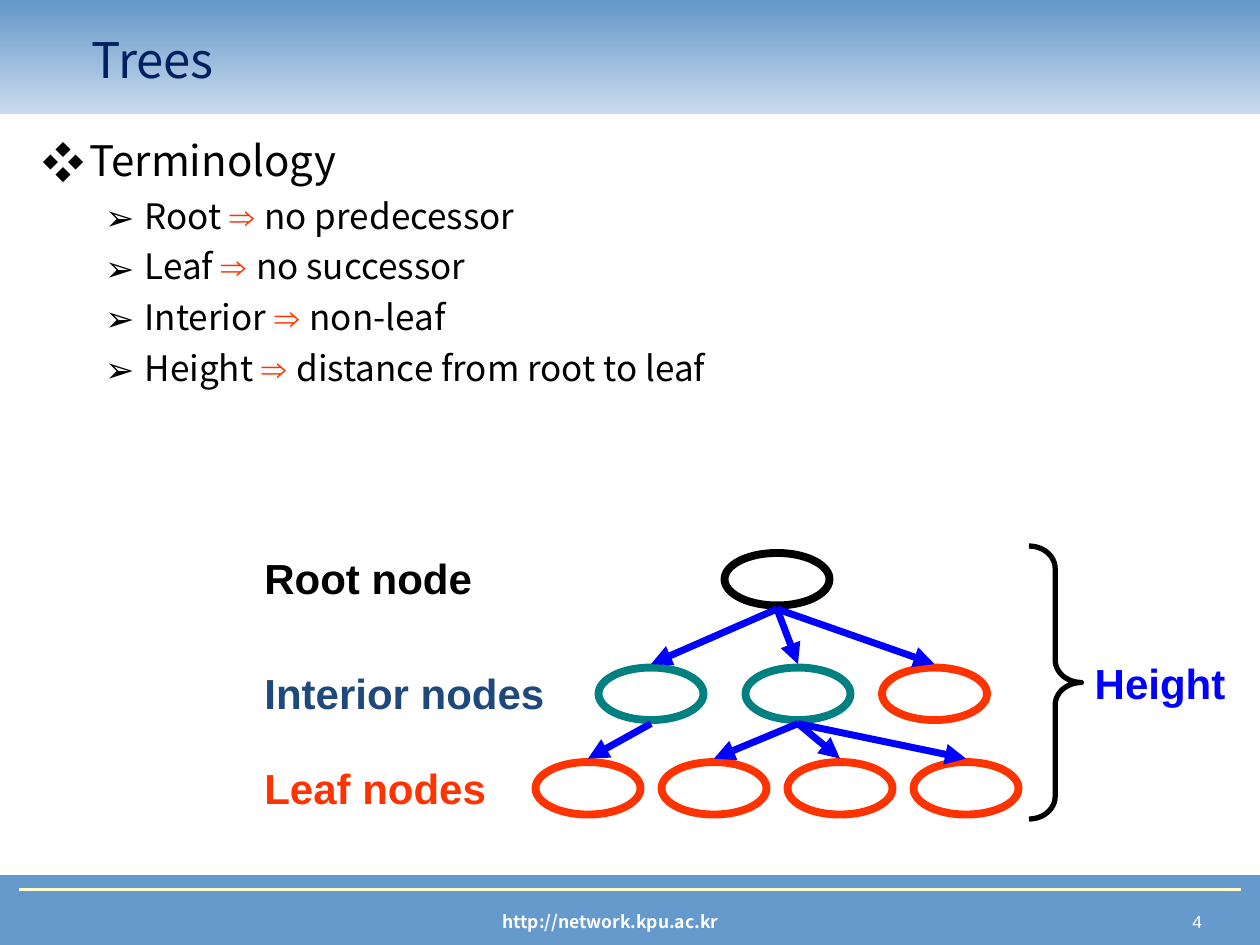
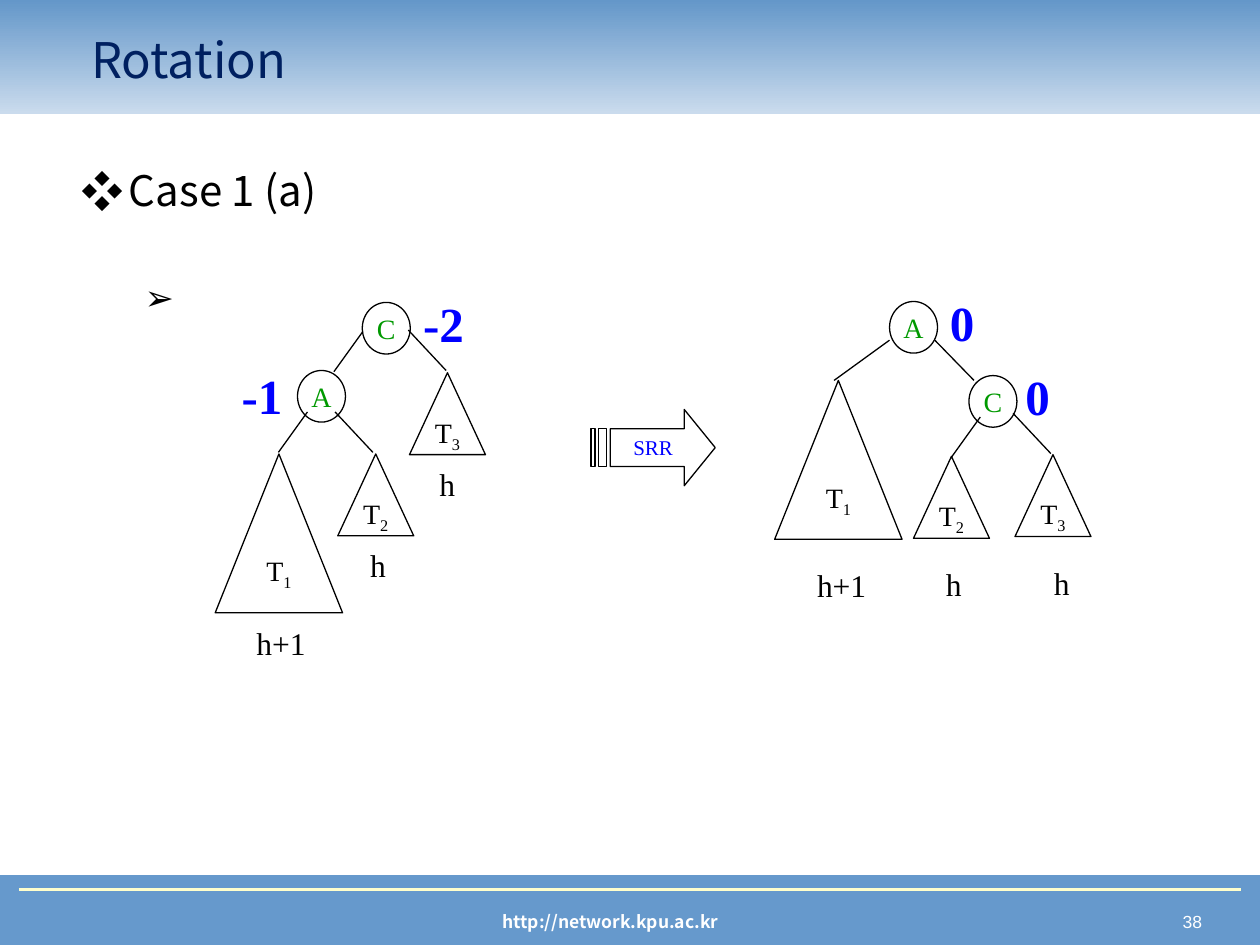
from lxml import etree
from pptx import Presentation
from pptx.dml.color import RGBColor
from pptx.enum.shapes import MSO_CONNECTOR, MSO_SHAPE
from pptx.enum.text import MSO_ANCHOR, MSO_AUTO_SIZE, PP_ALIGN
from pptx.oxml.ns import qn
from pptx.util import Pt

RECT, OVAL = MSO_SHAPE.RECTANGLE, MSO_SHAPE.OVAL
TRIANGLE, BRACE = MSO_SHAPE.ISOSCELES_TRIANGLE, MSO_SHAPE.RIGHT_BRACE
STRAIGHT = MSO_CONNECTOR.STRAIGHT
LEFT, CENTER, RIGHT = PP_ALIGN.LEFT, PP_ALIGN.CENTER, PP_ALIGN.RIGHT
MIDDLE = MSO_ANCHOR.MIDDLE
NO_FIT = MSO_AUTO_SIZE.NONE

BAND = RGBColor(0x66, 0x99, 0xCC)
BAND_TOP = RGBColor(0x64, 0x97, 0xC9)
BAND_PALE = RGBColor(0xCA, 0xDB, 0xED)
CREAM = RGBColor(0xFF, 0xFF, 0xCC)
NAVY = RGBColor(0x00, 0x20, 0x60)
SLATE = RGBColor(0x1F, 0x49, 0x7D)
BLACK = RGBColor(0x00, 0x00, 0x00)
WHITE = RGBColor(0xFF, 0xFF, 0xFF)
TEAL = RGBColor(0x00, 0x80, 0x80)
RED = RGBColor(0xFF, 0x33, 0x00)
BLUE = RGBColor(0x00, 0x00, 0xFF)
GREEN = RGBColor(0x00, 0x99, 0x00)

SANS, ARIAL, TIMES = "Noto Sans CJK KR", "Arial", "Times New Roman"
TITLE = dict(name=SANS, size=Pt(28), color=NAVY)
HEADING = dict(name=SANS, size=Pt(24), color=BLACK)
ITEM = dict(name=SANS, size=Pt(20), color=BLACK)
IMPLIES = dict(name=ARIAL, size=Pt(20), color=RED)
URL = dict(name=SANS, size=Pt(10), color=WHITE, bold=True)
PAGE = dict(name=ARIAL, size=Pt(10), color=WHITE)
LEVEL_LABEL = dict(name=ARIAL, size=Pt(24), bold=True)
BALANCE = dict(name=TIMES, size=Pt(28), color=BLUE, bold=True)
HEIGHT = dict(name=TIMES, size=Pt(18), color=BLACK)
KEY = dict(name=TIMES, size=Pt(16), color=GREEN)
SUBTREE = dict(name=TIMES, size=Pt(16), color=BLACK)
ROTATION = dict(name=TIMES, size=Pt(12), color=BLUE)

NODE_W, NODE_H = 60, 30
KEY_W, KEY_H = 27.4, 29.5
SMALL_TREE, BIG_TREE = (43.4, 46.8), (72.8, 90.8)


def points(*values):
    return [Pt(v) for v in values]


def add_run(p, text, style):
    r = p.add_run()
    r.text = text
    for name, value in style.items():
        if name == "color":
            r.font.color.rgb = value
        else:
            setattr(r.font, name, value)
    return r


def add_label(s, box, text, style, align=LEFT):
    tf = s.shapes.add_textbox(*points(*box)).text_frame
    tf.word_wrap = True
    p = tf.paragraphs[0]
    p.alignment = align
    add_run(p, text, style)


def add_outline(s, kind, box, color=BLACK, width=0.75):
    """Add an unfilled preset shape."""
    sp = s.shapes.add_shape(kind, *points(*box))
    sp.shadow.inherit = False
    sp.fill.background()
    sp.line.color.rgb = color
    sp.line.width = Pt(width)
    return sp


def center_text(sp, text, style):
    tf = sp.text_frame
    tf.word_wrap = False
    tf.vertical_anchor = MIDDLE
    p = tf.paragraphs[0]
    p.alignment = CENTER
    add_run(p, text, style)
    return p


def add_line(s, ends, color=BLACK, width=0.75, arrow=False):
    line = s.shapes.add_connector(STRAIGHT, *points(*ends))
    line.line.color.rgb = color
    line.line.width = Pt(width)
    spPr = line._element.spPr
    if arrow:
        etree.SubElement(spPr.find(qn("a:ln")), qn("a:tailEnd"), type="triangle")
    etree.SubElement(spPr, qn("a:effectLst"))


def add_bullet(p, char, margin, hanging):
    pPr = p._p.get_or_add_pPr()
    pPr.set("marL", str(Pt(margin)))
    pPr.set("indent", str(-Pt(hanging)))
    clr = etree.SubElement(pPr, qn("a:buClr"))
    etree.SubElement(clr, qn("a:srgbClr"), val=str(BLACK))
    etree.SubElement(pPr, qn("a:buFont"), typeface=SANS)
    etree.SubElement(pPr, qn("a:buChar"), char=char)


def add_outline_text(s, box, heading, items, gap=5):
    """Add a bulleted heading; gap is the space above each item under it."""
    tf = s.shapes.add_textbox(*points(*box)).text_frame
    tf.word_wrap = True
    p = tf.paragraphs[0]
    add_bullet(p, "❖", 27, 27)
    p.line_spacing = Pt(29)
    add_run(p, heading, HEADING)
    for runs in items:
        p = tf.add_paragraph()
        p.level = 1
        add_bullet(p, "➢", 58.5, 22.5)
        p.line_spacing = Pt(24)
        p.space_before = Pt(gap)
        for text, style in runs:
            add_run(p, text, style)


def add_framed_slide(prs, title, number):
    """Add a slide with the header band, title and footer."""
    s = prs.slides.add_slide(prs.slide_layouts[5])
    footer = add_outline(s, RECT, (0, 500.4, 720, 39.6), BAND)
    footer.fill.solid()
    footer.fill.fore_color.rgb = BAND
    add_label(s, (534, 517, 160, 19.4), number, PAGE, RIGHT)
    add_label(s, (163, 517, 371.5, 19.4), "http://network.kpu.ac.kr", URL, CENTER)
    add_line(s, (10.8, 508.3, 709.2, 508.3), CREAM, 1.5)

    header = add_outline(s, RECT, (-0.5, 0, 720.5, 65))
    header.line.fill.background()
    header.fill.gradient()
    header.fill.gradient_angle = 90
    for stop, color in zip(header.fill.gradient_stops, (BAND_PALE, BAND_TOP)):
        stop.color.rgb = color

    sp = s.shapes.title
    sp.left, sp.top, sp.width, sp.height = points(45, 11.5, 607.7, 44.6)
    tf = sp.text_frame
    tf.auto_size = NO_FIT
    tf.vertical_anchor = MIDDLE
    p = tf.paragraphs[0]
    p.alignment = LEFT
    add_run(p, title, TITLE)
    sp.element.getparent().append(sp.element)
    return s


def add_level(s, top, nodes):
    """Add one level of tree nodes, given as (centre, colour)."""
    for cx, color in nodes:
        add_outline(s, OVAL, (cx - NODE_W / 2, top, NODE_W, NODE_H), color, 4.5)


def add_child_arrows(s, parent, children, parent_top, child_top):
    for child in children:
        ends = (parent, parent_top + NODE_H + 2, child, child_top - 2)
        add_line(s, ends, BLUE, 4, arrow=True)


def add_key(s, x, y, text):
    center_text(add_outline(s, OVAL, (x, y, KEY_W, KEY_H)), text, KEY)


def add_subtree(s, x, y, size, index):
    sp = add_outline(s, TRIANGLE, (x, y, *size))
    p = center_text(sp, "T", SUBTREE)
    r = add_run(p, index, SUBTREE)
    r._r.get_or_add_rPr().set("baseline", "-25000")


def add_striped_arrow(s, x, y, text):
    top, low = y + 11, y + 32.6
    contours = [[(x + 53.3, y), (x + 53.3, top), (x + 11, top), (x + 11, low),
                 (x + 53.3, low), (x + 53.3, y + 43.6), (x + 71, y + 21.8)]]
    for left, right in ((4.5, 8.8), (0, 2.4)):
        contours.append([(x + left, top), (x + left, low),
                         (x + right, low), (x + right, top)])
    builder = None
    for contour in contours:
        first, *rest = [points(*xy) for xy in contour]
        if builder is None:
            builder = s.shapes.build_freeform(*first)
        else:
            builder.move_to(*first)
        builder.add_line_segments(rest, close=True)
    sp = builder.convert_to_shape()
    sp.shadow.inherit = False
    sp.fill.solid()
    sp.fill.fore_color.rgb = WHITE
    sp.line.color.rgb = BLACK
    sp.line.width = Pt(0.75)
    center_text(sp, text, ROTATION)


def build_trees(prs):
    s = add_framed_slide(prs, "Trees", "4")
    terms = [("Root ", "no predecessor"), ("Leaf ", "no successor"),
             ("Interior ", "non-leaf"), ("Height ", "distance from root to leaf")]
    items = [[(term, ITEM), ("⇒ ", IMPLIES), (meaning, ITEM)]
             for term, meaning in terms]
    add_outline_text(s, (17, 73.4, 680.4, 416), "Terminology", items)

    root_top, interior_top, leaf_top = 316, 381.5, 435.5
    root, inner = 444, (372, 456, 534)
    leaves = [336 + 72 * i for i in range(4)]
    add_level(s, root_top, [(root, BLACK)])
    add_level(s, interior_top, zip(inner, (TEAL, TEAL, RED)))
    add_level(s, leaf_top, [(cx, RED) for cx in leaves])
    add_child_arrows(s, root, inner, root_top, interior_top)
    add_child_arrows(s, inner[0], leaves[:1], interior_top, leaf_top)
    add_child_arrows(s, inner[1], leaves[1:], interior_top, leaf_top)

    for x, y, w, text, color in ((144, 312, 190, "Root node", BLACK),
                                 (144, 378, 190, "Interior nodes", SLATE),
                                 (144, 432, 150, "Leaf nodes", RED),
                                 (618.5, 372, 100, "Height", BLUE)):
        add_label(s, (x, y, w, 36), text, dict(LEVEL_LABEL, color=color))
    brace = add_outline(s, BRACE, (588, 312, 30, 156), BLACK, 3)
    brace.adjustments[0] = 0.43


def build_rotation(prs):
    s = add_framed_slide(prs, "Rotation", "38")
    add_outline_text(s, (39.6, 90, 453.6, 360), "Case 1 (a)", [[(" ", ITEM)]], gap=34)

    for x, y, size, index in ((234, 213, SMALL_TREE, "3"),
                              (193, 259.4, SMALL_TREE, "2"),
                              (123, 259.4, BIG_TREE, "1"),
                              (442.7, 217.4, BIG_TREE, "1"),
                              (522, 260.8, SMALL_TREE, "2"),
                              (580, 259.8, SMALL_TREE, "3")):
        add_subtree(s, x, y, size, index)

    for ends in ((190.8, 212.4, 207.4, 189.4), (254.9, 211.7, 233.3, 188.6),
                 (159.1, 258.5, 175.7, 235.4), (213.1, 258.5, 191.5, 235.4),
                 (476.6, 217.4, 508.3, 194.4), (556.6, 217.4, 534.2, 194.4),
                 (543.6, 261.4, 560.2, 238.3), (600.5, 259.2, 578.9, 236.2)):
        add_line(s, ends)

    for x, y, text in ((207, 172.8, "C"), (170, 211.7, "A"),
                       (508.3, 172.3, "A"), (553.7, 214.6, "C")):
        add_key(s, x, y, text)

    for x, y, text in ((234.7, 164.2, "-2"), (131, 205.2, "-1"),
                       (535.7, 163.4, "0"), (578.9, 206, "0")):
        add_label(s, (x, y, 50, 41), text, BALANCE)

    for x, y, text in ((139.4, 352.8, "h+1"), (204.5, 308.2, "h"),
                       (244, 262.2, "h"), (459.8, 319.7, "h+1"),
                       (533.5, 319.2, "h"), (595.2, 319, "h")):
        add_label(s, (x, y, 50, 28.8), text, HEIGHT)
    add_striped_arrow(s, 337.7, 234, "SRR")


def main():
    prs = Presentation()
    prs.slide_width, prs.slide_height = points(720, 540)
    build_trees(prs)
    build_rotation(prs)
    prs.save("out.pptx")


if __name__ == "__main__":
    main()
